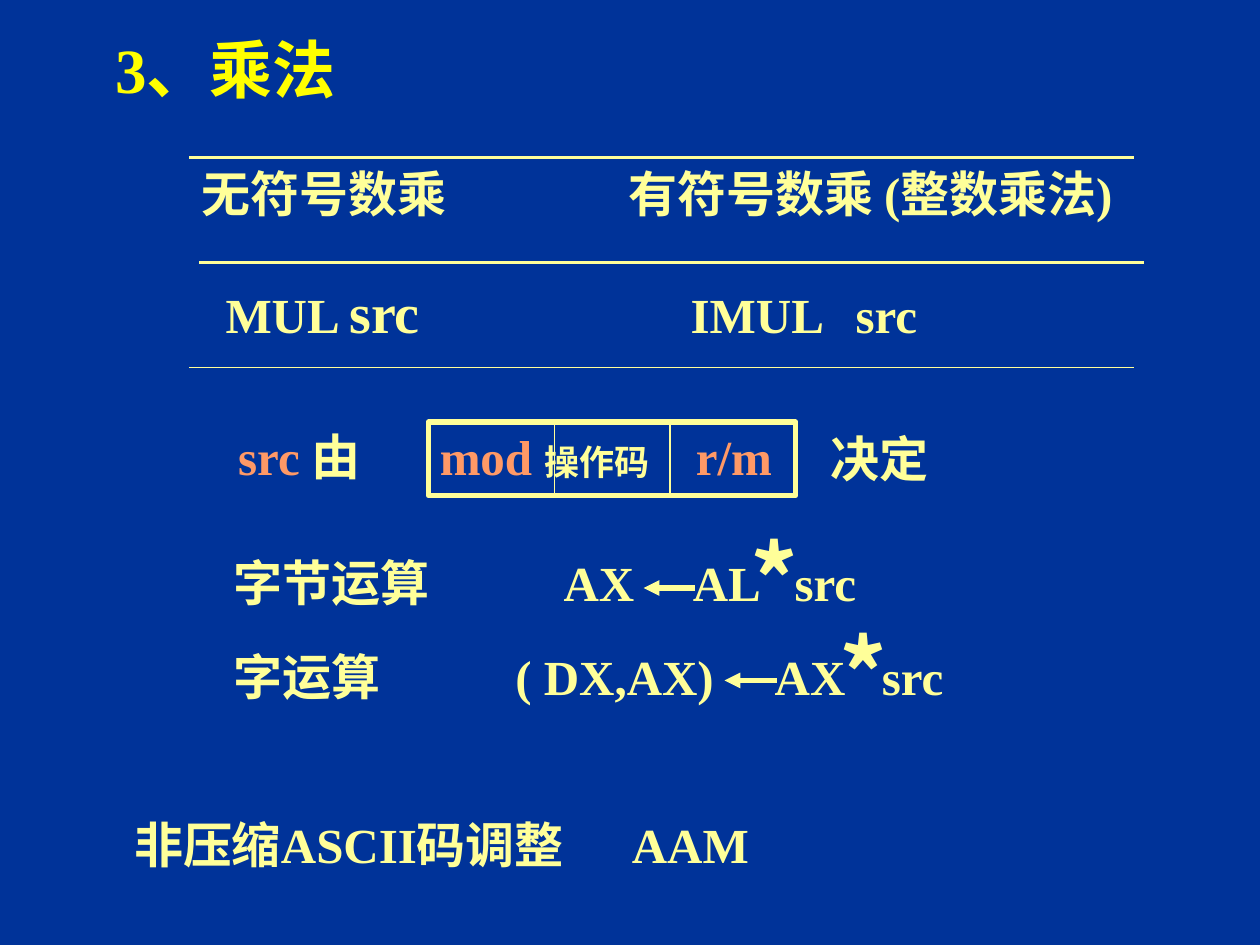
from lxml.etree import SubElement
from pptx import Presentation
from pptx.dml.color import RGBColor
from pptx.enum.shapes import MSO_CONNECTOR, MSO_SHAPE
from pptx.enum.text import MSO_ANCHOR, PP_ALIGN
from pptx.oxml.ns import qn
from pptx.util import Inches, Pt

PALE, ORANGE, YELLOW, NAVY = "FFFF99", "FF9966", "FFFF00", "003399"
SERIF, SANS = "Times New Roman", "Noto Sans CJK SC"
color = RGBColor.from_string

presentation = Presentation()
presentation.slide_width, presentation.slide_height = Inches(10), Inches(7.5)
slide = presentation.slides.add_slide(presentation.slide_layouts[5])
slide.background.fill.solid()
slide.background.fill.fore_color.rgb = color(NAVY)

# The grid has 120 columns and 90 rows of square cells
cell = presentation.slide_width / 120


def write(shape, runs, tabs=()):
    """Fill a shape with (text, format) runs; tab stops are in columns."""
    paragraph = shape.text_frame.paragraphs[0]
    if tabs:
        tab_list = SubElement(paragraph._p.get_or_add_pPr(), qn("a:tabLst"))
        for stop in tabs:
            SubElement(tab_list, qn("a:tab"), pos=str(int(stop * cell)), algn="l")
    for text, changes in runs:
        values = {"size": 28, "name": SERIF, "bold": True, "color": PALE} | changes
        run = paragraph.add_run()
        run.text = text
        run.font.color.rgb = color(values.pop("color"))
        values["size"] = Pt(values["size"])
        for key, value in values.items():
            setattr(run.font, key, value)
        SubElement(run._r.get_or_add_rPr(), qn("a:ea"), typeface=SANS)
    return paragraph


def draw_line(start, end, weight, arrow=False):
    """Draw a straight line between two (column, row) points."""
    ends = [int(value * cell) for value in (*start, *end)]
    connector = slide.shapes.add_connector(MSO_CONNECTOR.STRAIGHT, *ends)
    connector.line.color.rgb = color(PALE)
    connector.line.width = Pt(weight)
    if arrow:
        SubElement(connector.line._get_or_add_ln(), qn("a:tailEnd"), type="triangle")
    SubElement(connector._element.spPr, qn("a:effectLst"))


# Title
title = slide.shapes.title
title.left, title.top, title.width, title.height = [
    int(value * cell) for value in (8, 3, 27, 7)]
title.text_frame.vertical_anchor = MSO_ANCHOR.MIDDLE
heading = write(title, [("3、乘法", {"size": 36, "color": YELLOW})])
heading.alignment = PP_ALIGN.CENTER

# Frame of the instruction byte, with its two dividers
frame = slide.shapes.add_shape(
    MSO_SHAPE.RECTANGLE, *[int(value * cell) for value in (40.8, 40.2, 35, 7)])
frame.shadow.inherit = False
frame.fill.background()
frame.line.color.rgb = color(PALE)
frame.line.width = Pt(3)
for column in (52.8, 63.8):
    draw_line((column, 40.2), (column, 47.2), 0.75)

# Text: column, row, width, height, runs, tab stops
star = [("*", {"size": 54, "name": SANS})]
texts = [
    (40.7, 40, 34, 6.8, [("mod ", {"color": ORANGE}), ("操作码", {"size": 20}),
                         ("\tr/m", {"color": ORANGE})], [24.4]),
    (21.5, 40, 15.2, 6.8, [("src ", {"color": ORANGE}), ("由", {})], []),
    (77.9, 40.2, 11.6, 6.8, [("决定", {})], []),
    (21.1, 52, 62.3, 6.8, [("字节运算\tAX\tAL\tsrc", {})], [31.4, 43.7, 53.4]),
    (70.3, 49, 7.8, 12, star, []),
    (21.1, 61, 70, 6.8, [("字运算\t( DX,AX)\tAX\tsrc", {})], [26.8, 51.5, 61.7]),
    (78.8, 58, 7.8, 12, star, []),
    (11.6, 77, 61, 6.8, [("非压缩ASCII码调整\tAAM", {})], [47.4]),
    (18, 15, 25.7, 6.8, [("无符号数乘", {})], []),
    (57.6, 15, 52.9, 6.8, [(" 有符号数乘 (整数乘法)", {})], []),
    (20.3, 25.8, 69, 7.7, [("MUL ", {}), ("src", {"size": 32}),
                           ("\tIMUL\tsrc", {})], [44.3, 60]),
]
for *box, runs, tabs in texts:
    text_box = slide.shapes.add_textbox(*[int(value * cell) for value in box])
    text_box.text_frame.word_wrap = True
    text_box.text_frame.margin_right = 0
    write(text_box, runs, tabs)

# Assignment arrows
for start, end, row in ((66.2, 61.3, 56), (74, 69, 64.8)):
    draw_line((start, row), (end, row), 3, arrow=True)

# Rules of the instruction list
for column, row, weight in ((18, 15, 1.5), (19, 25, 1.5), (18, 35, 1)):
    draw_line((column, row), (column + 90, row), weight)

presentation.save("out.pptx")
